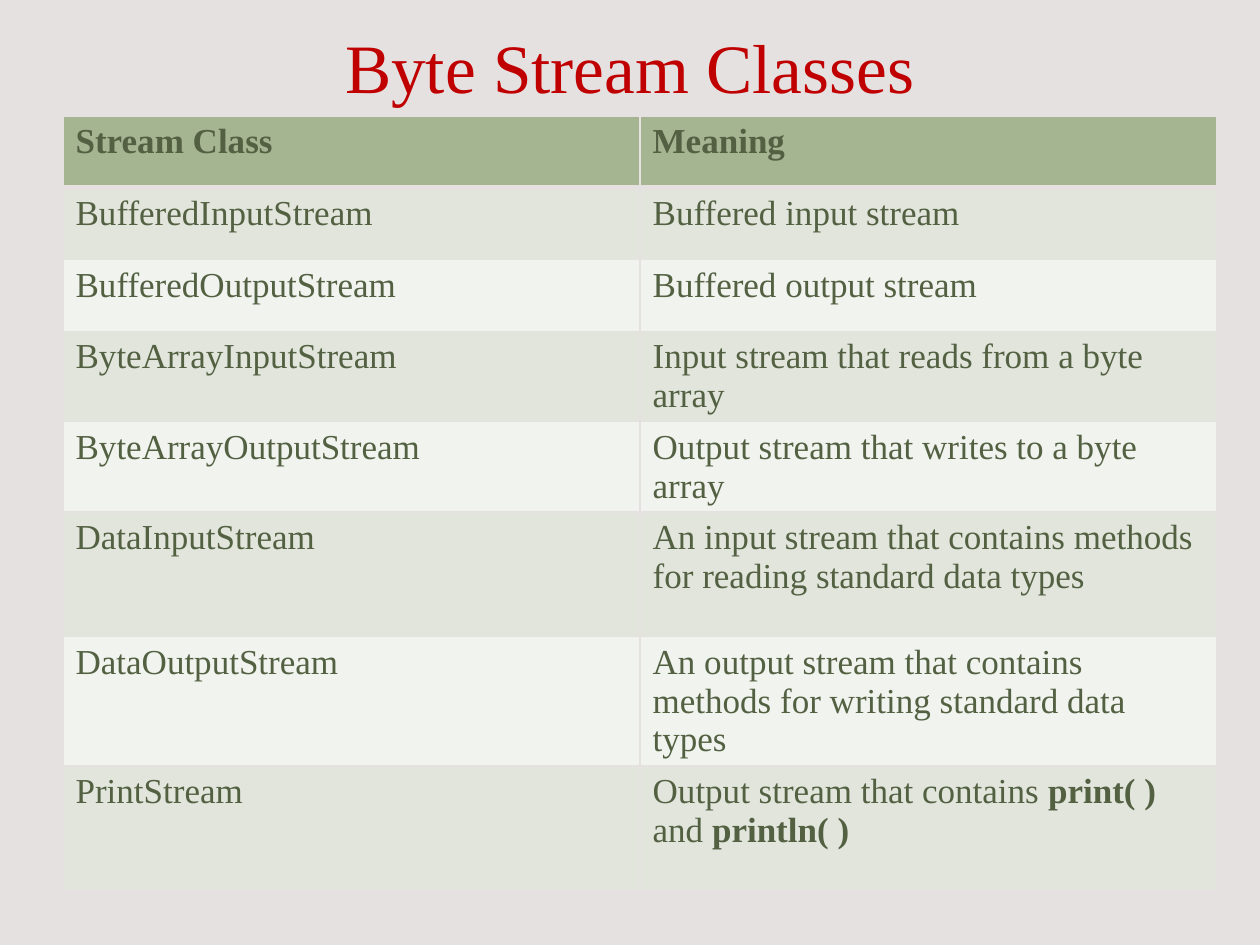
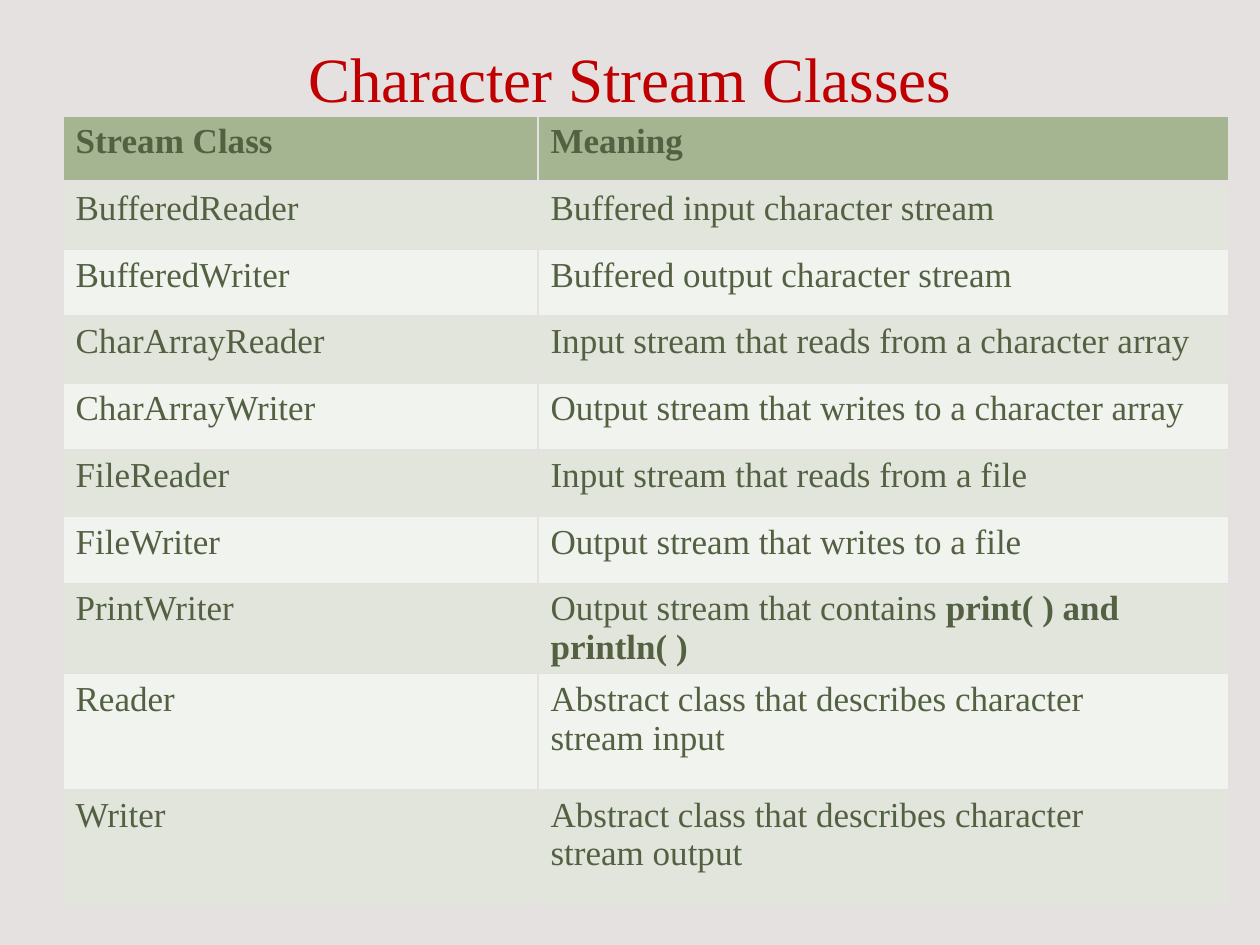
"""Build two slides that list the byte and character stream classes."""
from dataclasses import dataclass
from typing import Any

import lxml.etree
import pptx
import pptx.dml.color
import pptx.enum.text
import pptx.oxml.ns
import pptx.util

Inches = pptx.util.Inches
Pt = pptx.util.Pt


@dataclass(frozen=True)
class Theme:
    """Colours, font and type sizes of the deck."""
    ground: str = "E5E1E1"
    title: str = "C00000"
    text: str = "536142"
    head: str = "A5B592"
    bands: tuple[str, str] = ("E1E5DC", "F0F3EE")
    font: str = "Times New Roman"
    body: float = 20
    thin: float = 1
    thick: float = 3


@dataclass(frozen=True)
class Page:
    """Title, column widths, row heights and rows of one slide."""
    title: str
    size: float
    tall: float
    widths: tuple[float, float]
    heights: list[float]
    rows: list[tuple[str, str]]


THEME = Theme()
LEFT, TOP = 0.5, 0.92
HEAD = ("Stream Class", "Meaning")

PAGES = [
    Page("Byte Stream Classes", 39.6, 0.45, (4.58, 4.58), [0.57] * 5 + [0.99] * 3, [
        ("BufferedInputStream", "Buffered input stream"),
        ("BufferedOutputStream", "Buffered output stream"),
        ("ByteArrayInputStream", "Input stream that reads from a byte array"),
        ("ByteArrayOutputStream", "Output stream that writes to a byte array"),
        ("DataInputStream",
         "An input stream that contains methods for reading standard data types"),
        ("DataOutputStream",
         "An output stream that contains methods for writing standard data types"),
        ("PrintStream", "Output stream that contains *print( ) *and *println( )*"),
    ]),
    Page("Character Stream Classes", 36, 0.62, (3.77, 5.48), [0.53] * 8 + [0.92] * 2, [
        ("BufferedReader", "Buffered input character stream"),
        ("BufferedWriter", "Buffered output character stream"),
        ("CharArrayReader", "Input stream that reads from a character array"),
        ("CharArrayWriter", "Output stream that writes to a character array"),
        ("FileReader", "Input stream that reads from a file"),
        ("FileWriter", "Output stream that writes to a file"),
        ("PrintWriter", "Output stream that contains *print( ) and println( )*"),
        ("Reader", "Abstract class that describes character\nstream input"),
        ("Writer", "Abstract class that describes character\nstream output"),
    ]),
]


def apply(item: Any, form: dict[str, Any]) -> None:
    """Set each value of a format on an object."""
    for name, value in form.items():
        setattr(item, name, value)


def paint(fill: Any, tint: str) -> None:
    """Give a fill one solid colour."""
    fill.solid()
    fill.fore_color.rgb = pptx.dml.color.RGBColor.from_string(tint)


def style(font: Any, size: float, tint: str, bold: bool = False) -> None:
    """Format a font in the deck's typeface."""
    apply(font, {"name": THEME.font, "size": Pt(size), "bold": bold})
    font.color.rgb = pptx.dml.color.RGBColor.from_string(tint)


def border(cell: Any, row: int) -> None:
    """Draw the cell's edges, with a thick rule below the header."""
    qn = pptx.oxml.ns.qn
    edges = {
        "L": THEME.thin,
        "R": THEME.thin,
        "T": THEME.thick if row == 1 else THEME.thin,
        "B": THEME.thick if row == 0 else THEME.thin,
    }
    props = cell._tc.get_or_add_tcPr()
    for side, width in edges.items():
        line = lxml.etree.SubElement(props, qn(f"a:ln{side}"), w=str(Pt(width)))
        solid = lxml.etree.SubElement(line, qn("a:solidFill"))
        lxml.etree.SubElement(solid, qn("a:srgbClr"), val=THEME.ground)


def write(cell: Any, text: str, head: bool) -> None:
    """Write lines of text, with parts between asterisks in bold."""
    frame = cell.text_frame
    for spot, line in enumerate(text.split("\n")):
        para = frame.add_paragraph() if spot else frame.paragraphs[0]
        for part, words in enumerate(line.split("*")):
            if words:
                run = para.add_run()
                run.text = words
                style(run.font, THEME.body, THEME.text, head or part % 2 == 1)


def add_title(slide: Any, page: Page) -> None:
    """Place and format the slide's title."""
    title = slide.shapes.title
    apply(title, {"left": Inches(LEFT), "top": Inches(0.3),
                  "width": Inches(9), "height": Inches(page.tall)})
    frame = title.text_frame
    apply(frame, {"text": page.title, "word_wrap": True,
                  "auto_size": pptx.enum.text.MSO_AUTO_SIZE.NONE,
                  "vertical_anchor": pptx.enum.text.MSO_ANCHOR.MIDDLE})
    para = frame.paragraphs[0]
    para.alignment = pptx.enum.text.PP_ALIGN.CENTER
    style(para.runs[0].font, page.size, THEME.title)


def add_grid(slide: Any, page: Page) -> None:
    """Add the table of classes and their meanings."""
    rows = [HEAD, *page.rows]
    grid = slide.shapes.add_table(
        len(rows), len(HEAD), Inches(LEFT), Inches(TOP),
        Inches(sum(page.widths)), Inches(sum(page.heights))).table
    apply(grid, {"first_row": True, "horz_banding": False})
    for col, width in zip(grid.columns, page.widths):
        col.width = Inches(width)
    for index, (row, height) in enumerate(zip(grid.rows, page.heights)):
        row.height = Inches(height)
        tint = THEME.bands[(index - 1) % 2] if index else THEME.head
        for cell, text in zip(row.cells, rows[index]):
            border(cell, index)
            paint(cell.fill, tint)
            write(cell, text, index == 0)


def main() -> None:
    """Build and save the deck."""
    deck = pptx.Presentation()
    apply(deck, {"slide_width": Inches(10), "slide_height": Inches(7.5)})
    paint(deck.slide_master.background.fill, THEME.ground)
    plan = deck.slide_layouts.get_by_name("Title Only")
    for page in PAGES:
        slide = deck.slides.add_slide(plan)
        add_title(slide, page)
        add_grid(slide, page)
    deck.save("out.pptx")


if __name__ == "__main__":
    main()
